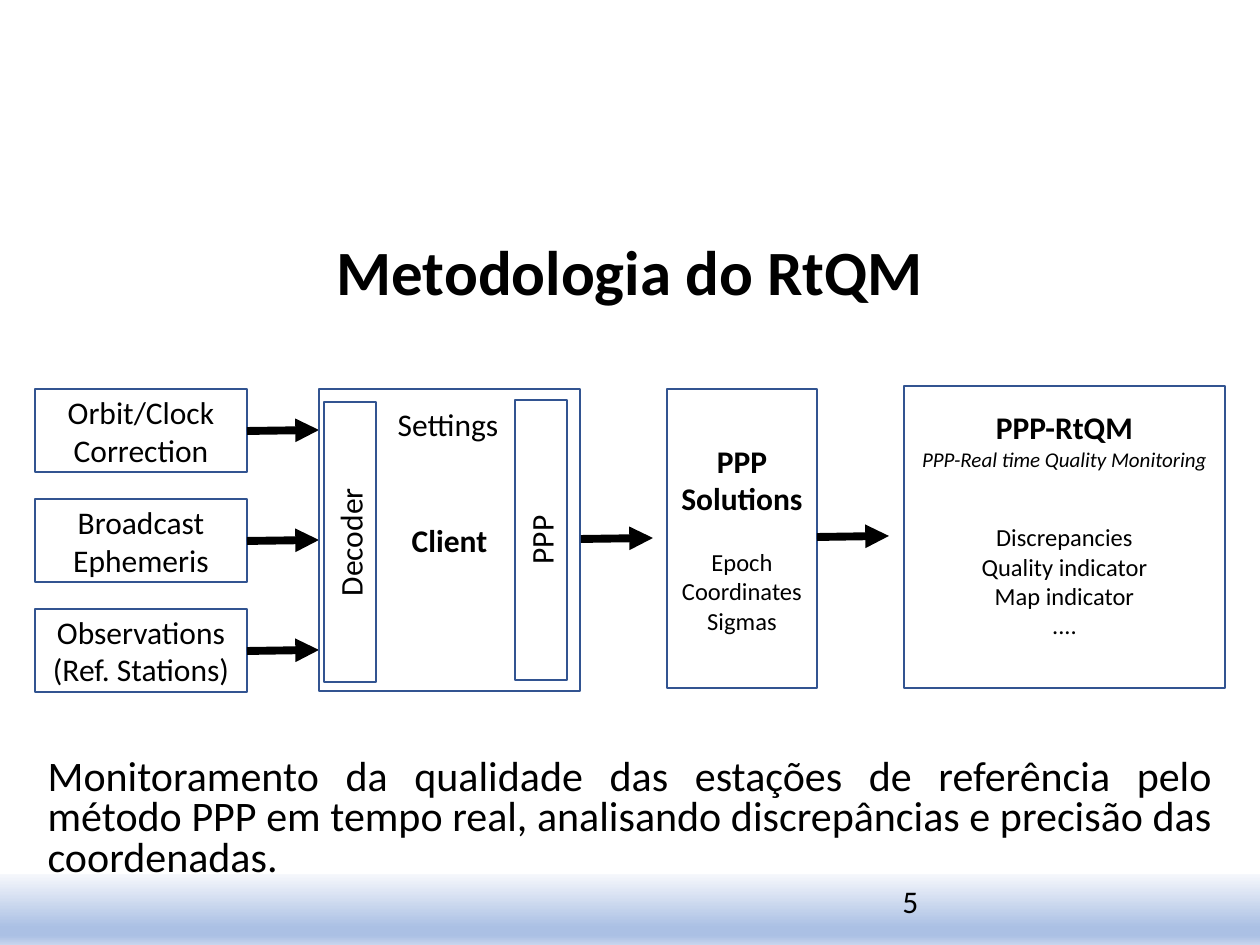
from lxml.etree import SubElement
from pptx import Presentation
from pptx.dml.color import RGBColor
from pptx.enum.shapes import MSO_CONNECTOR, MSO_SHAPE
from pptx.enum.text import MSO_ANCHOR as Anchor, MSO_AUTO_SIZE, PP_ALIGN as Align
from pptx.oxml.ns import qn
from pptx.util import Emu, Pt

PIXEL = 914400 // 126
BLACK = RGBColor(0x00, 0x00, 0x00)
WHITE = RGBColor(0xFF, 0xFF, 0xFF)
BORDER = RGBColor(0x32, 0x54, 0x91)
BAND_STOPS = [(0, RGBColor(0xF6, 0xF8, 0xFC)), (75, RGBColor(0xAB, 0xC0, 0xE4)),
              (87, RGBColor(0xAB, 0xC0, 0xE4)), (100, RGBColor(0xC7, 0xD5, 0xED))]
FONT = "Calibri"


def px(value):
    return Emu(value * PIXEL)


def write(paragraph, text, size, bold=False, italic=False, align=Align.CENTER):
    paragraph.alignment = align
    run = paragraph.add_run()
    run.text = text
    font = run.font
    font.name, font.size, font.bold, font.italic = FONT, Pt(size), bold, italic
    font.color.rgb = BLACK


def add_rectangle(slide, left, top, width, height):
    shape = slide.shapes.add_shape(
        MSO_SHAPE.RECTANGLE, px(left), px(top), px(width), px(height))
    shape.shadow.inherit = False
    return shape


def add_band(slide):
    band = add_rectangle(slide, 0, 874, 1260, 71)
    band.line.fill.background()
    band.fill.gradient()
    band.fill.gradient_angle = 270
    stops = next(band._element.iter(qn("a:gsLst")))
    stops.clear()
    for position, color in BAND_STOPS:
        stop = SubElement(stops, qn("a:gs"), pos=str(position * 1000))
        SubElement(stop, qn("a:srgbClr"), val=str(color))


def add_box(slide, frame, lines, border=BORDER, rotation=0):
    """Each line is (text, size, bold, italic, space before)."""
    box = add_rectangle(slide, *frame)
    box.rotation = rotation
    box.fill.solid()
    box.fill.fore_color.rgb = WHITE
    box.line.color.rgb = border
    box.line.width = Pt(1)
    text_frame = box.text_frame
    text_frame.word_wrap = True
    text_frame.vertical_anchor = Anchor.MIDDLE
    for index, (text, size, bold, italic, gap) in enumerate(lines):
        paragraph = text_frame.add_paragraph() if index else text_frame.paragraphs[0]
        paragraph.space_before = Pt(gap)
        write(paragraph, text, size, bold, italic)
    return box


def add_label(slide, frame, text, bold=False, **options):
    return add_box(slide, frame, [(text, 18, bold, False, 0)], **options)


def add_arrow(slide, left, top):
    arrow = slide.shapes.add_connector(
        MSO_CONNECTOR.STRAIGHT, px(left), px(top), px(left + 72), px(top - 1))
    arrow.line.color.rgb = BLACK
    arrow.line.width = Pt(4.5)
    SubElement(arrow.line._get_or_add_ln(), qn("a:tailEnd"), type="triangle")
    SubElement(arrow._element.spPr, qn("a:effectLst"))


def fill_placeholder(shape, frame, text, size, align, anchor, spacing, before=0, bold=False):
    shape.left, shape.top, shape.width, shape.height = map(px, frame)
    text_frame = shape.text_frame
    text_frame.word_wrap = True
    text_frame.auto_size = MSO_AUTO_SIZE.NONE
    text_frame.vertical_anchor = anchor
    paragraph = text_frame.paragraphs[0]
    paragraph.line_spacing = spacing
    paragraph.space_before = Pt(before)
    write(paragraph, text, size, bold, align=align)
    properties = paragraph._p.get_or_add_pPr()
    properties.set("marL", "0")
    properties.set("indent", "0")
    SubElement(properties, qn("a:buNone"))


def add_inputs(slide):
    names = ["Orbit/Clock Correction", "Broadcast Ephemeris", "Observations (Ref. Stations)"]
    for index, name in enumerate(names):
        top = 389 + 110 * index
        add_label(slide, (35, top, 212, 83), name)
        add_arrow(slide, 247, top + 42)


def add_processing(slide):
    add_label(slide, (319, 389, 261, 302), "Client", bold=True)
    add_label(slide, (210, 516, 280, 52), "Decoder", rotation=270)
    add_label(slide, (401, 514, 280, 52), "PPP", rotation=270)
    add_label(slide, (383, 402, 130, 44), "Settings", border=WHITE)
    add_arrow(slide, 581, 539)


def add_results(slide):
    add_box(slide, (667, 389, 150, 299), [
        ("PPP", 18, True, False, 0),
        ("Solutions", 18, True, False, 0),
        ("Epoch", 14, False, False, 17),
        ("Coordinates", 14, False, False, 0),
        ("Sigmas", 14, False, False, 0)])
    add_arrow(slide, 817, 537)
    monitor = add_box(slide, (904, 386, 321, 302), [
        ("PPP-RtQM", 18, True, False, 0),
        ("PPP-Real time Quality Monitoring", 12, False, True, 0),
        ("Discrepancies", 14, False, False, 29),
        ("Quality indicator", 14, False, False, 0),
        ("Map indicator", 14, False, False, 0),
        ("....", 14, False, False, 0)])
    monitor.text_frame.margin_bottom = px(32)


def add_page_number(slide):
    box = slide.shapes.add_textbox(px(890), px(876), px(283), px(50))
    box.text_frame.word_wrap = True
    write(box.text_frame.paragraphs[0], "5", 18, align=Align.LEFT)


def main():
    presentation = Presentation()
    presentation.slide_width, presentation.slide_height = px(1260), px(945)
    slide = presentation.slides.add_slide(presentation.slide_layouts[1])

    # Footer band, behind the placeholders
    add_band(slide)
    tree = slide.shapes._spTree
    tree.insert(2, tree[-1])

    # Title and description
    fill_placeholder(slide.shapes.title, (35, 234, 1190, 83), "Metodologia do RtQM",
                     36, Align.CENTER, Anchor.MIDDLE, 0.9, bold=True)
    fill_placeholder(slide.placeholders[1], (35, 753, 1190, 144),
                     "Monitoramento da qualidade das estações de referência pelo método PPP "
                     "em tempo real, analisando discrepâncias e precisão das coordenadas.",
                     24, Align.JUSTIFY, Anchor.TOP, 0.8, before=10)

    # Flow diagram
    add_inputs(slide)
    add_processing(slide)
    add_results(slide)

    add_page_number(slide)
    presentation.save("out.pptx")


main()
